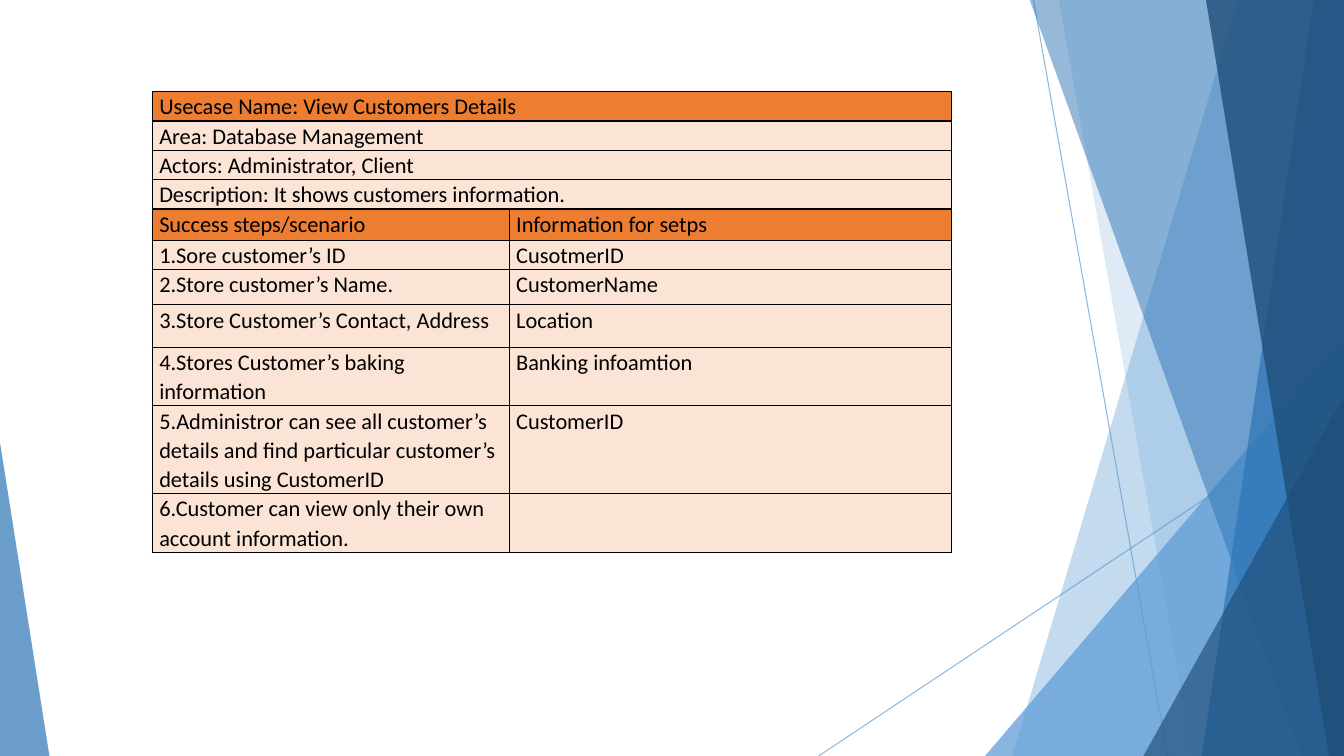
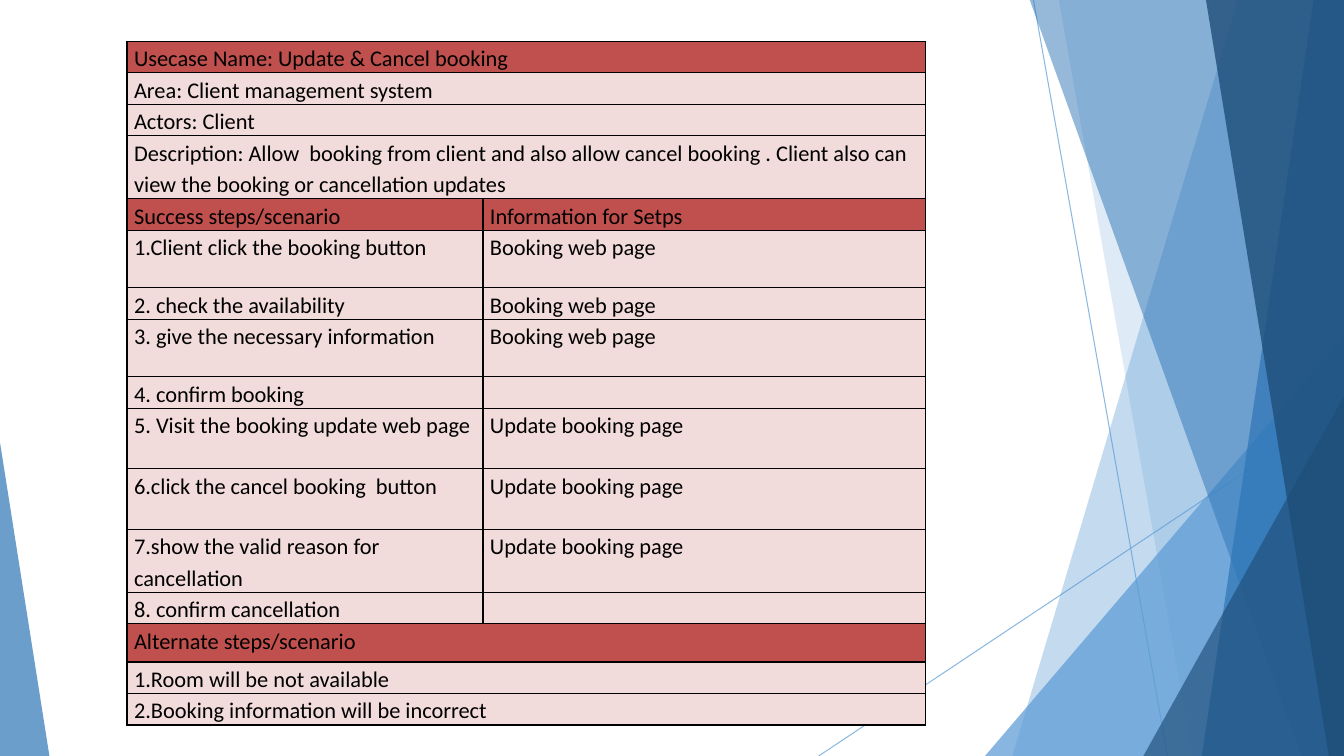
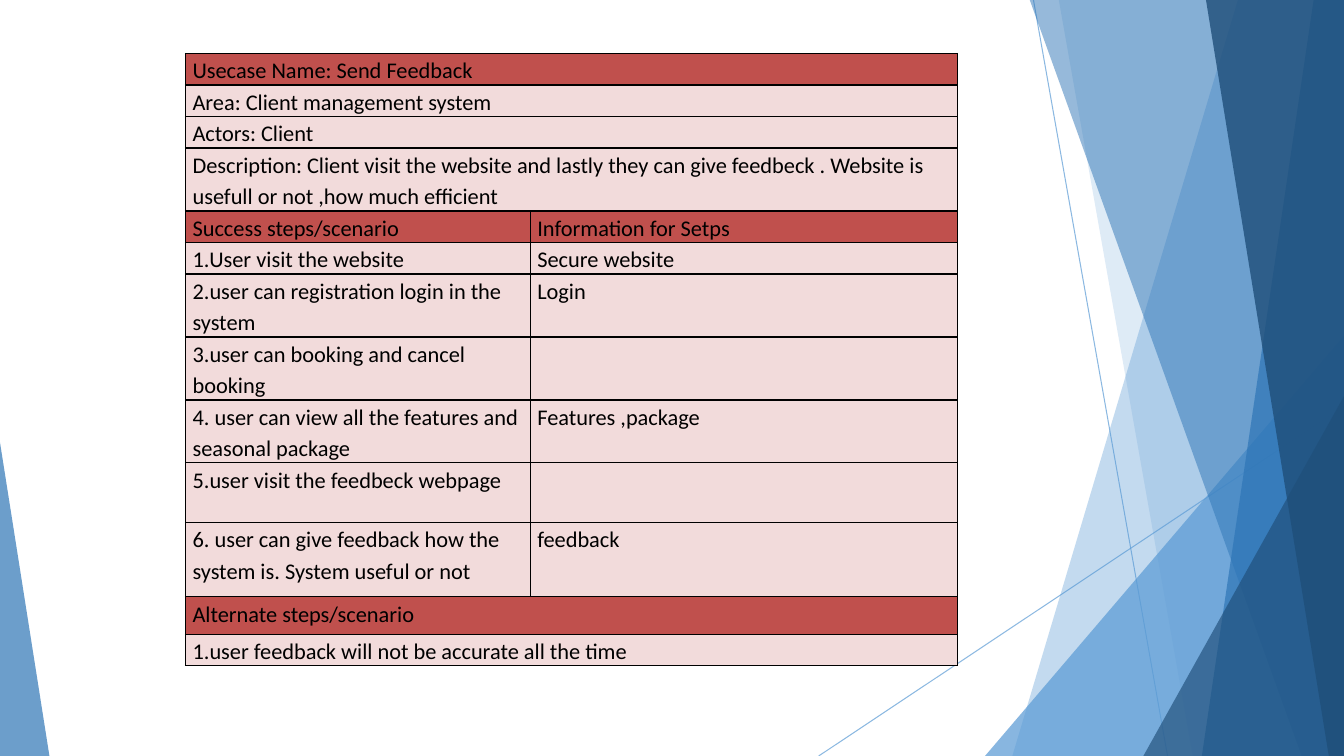
from dataclasses import dataclass

from lxml import etree
from pptx import Presentation
from pptx.dml.color import RGBColor
from pptx.enum import shapes
from pptx.oxml.ns import qn
from pptx.util import Inches, Pt


@dataclass(frozen=True)
class Theme:
    font: str = "Calibri"
    text_size: int = 16
    text: str = "000000"
    border: str = "000000"
    border_width: float = 1
    facet_line_width: float = 0.75
    light_blue: str = "5B9BD5"
    blue: str = "2E75B6"
    dark_blue: str = "1F4E79"
    orange: tuple = ("ED7D31", "FBE4D5")
    red: tuple = ("C0504D", "F2DBDB")


theme = Theme()
WIDTH, HEIGHT = 13.33, 7.5


def set_opacity(shape, percent):
    for color in shape.element.iter(qn("a:srgbClr")):
        etree.SubElement(color, qn("a:alpha"), val=str(percent * 1000))


def write(cell, content, size=theme.text_size, color=theme.text, line_spacing=1.0):
    paragraph = cell.text_frame.paragraphs[0]
    paragraph.line_spacing = line_spacing
    if not content:
        # An empty cell needs its own type size to keep the row height.
        etree.SubElement(paragraph._p, qn("a:endParaRPr"), sz=str(size * 100))
        return
    run = paragraph.add_run()
    run.text = content
    run.font.size = Pt(size)
    run.font.name = theme.font
    run.font.color.rgb = RGBColor.from_string(color)


presentation = Presentation()
presentation.slide_width = Inches(WIDTH)
presentation.slide_height = Inches(HEIGHT)
layout = presentation.slide_layouts[6]
for placeholder in list(layout.placeholders):
    layout.shapes.element.remove(placeholder.element)

# Each use case: table position, column widths, colours, line spacing, and
# rows of height and texts; a row with one text spans both columns.
HEADINGS = ("Usecase Name", "Success steps", "Alternate steps")
use_cases = [
    (1.51, 0.91, (3.54, 4.39), theme.orange, 1.07, [
        (0.29, "Usecase Name: View Customers Details"),
        (0.29, "Area: Database Management"),
        (0.29, "Actors: Administrator, Client"),
        (0.29, "Description: It shows customers information."),
        (0.31, "Success steps/scenario", "Information for setps"),
        (0.29, "1.Sore customer’s ID", "CusotmerID"),
        (0.35, "2.Store customer’s Name.", "CustomerName"),
        (0.42, "3.Store Customer’s Contact, Address", "Location"),
        (0.42, "4.Stores Customer’s baking information", "Banking infoamtion"),
        (0.87, "5.Administror can see all customer’s details and find particular "
               "customer’s details using CustomerID", "CustomerID"),
        (0.58, "6.Customer can view only their own account information.", ""),
    ]),
    (1.26, 0.41, (3.53, 4.39), theme.red, 1.15, [
        (0.3, "Usecase Name: Update & Cancel booking"),
        (0.3, "Area: Client management system"),
        (0.3, "Actors: Client"),
        (0.6, "Description: Allow  booking from client and also allow cancel booking . "
              "Client also can view the booking or cancellation updates"),
        (0.3, "Success steps/scenario", "Information for Setps"),
        (0.57, "1.Client click the booking button", "Booking web page"),
        (0.3, "2. check the availability", "Booking web page"),
        (0.57, "3. give the necessary information", "Booking web page"),
        (0.3, "4. confirm booking", ""),
        (0.6, "5. Visit the booking update web page", "Update booking page"),
        (0.6, "6.click the cancel booking  button", "Update booking page"),
        (0.6, "7.show the valid reason for cancellation", "Update booking page"),
        (0.3, "8. confirm cancellation", ""),
        (0.38, "Alternate steps/scenario"),
        (0.3, "1.Room will be not available"),
        (0.3, "2.Booking information will be incorrect"),
    ]),
    (1.84, 0.53, (3.42, 4.24), theme.red, 1.15, [
        (0.29, "Usecase Name: Send Feedback"),
        (0.29, "Area: Client management system"),
        (0.29, "Actors: Client"),
        (0.59, "Description: Client visit the website and lastly they can give feedbeck . "
               "Website is usefull or not ,how much efficient"),
        (0.29, "Success steps/scenario", "Information for Setps"),
        (0.29, "1.User visit the website", "Secure website"),
        (0.59, "2.user can registration login in the system", "Login"),
        (0.59, "3.user can booking and cancel booking", ""),
        (0.59, "4. user can view all the features and seasonal package",
         "Features ,package"),
        (0.59, "5.user visit the feedbeck webpage", ""),
        (0.74, "6. user can give feedback how the system is. System useful or not",
         "feedback"),
        (0.37, "Alternate steps/scenario"),
        (0.29, "1.user feedback will not be accurate all the time"),
    ]),
]
slides = [presentation.slides.add_slide(layout) for _ in use_cases]

# The facets are drawn once as a group, which then moves to the shared layout.
facets = slides[0].shapes.add_group_shape()
for start_x, start_y, end_x, end_y in [(10.25, 0, 11.58, HEIGHT), (WIDTH, 4.03, 8.12, HEIGHT)]:
    line = facets.shapes.add_connector(
        shapes.MSO_CONNECTOR.STRAIGHT,
        Inches(start_x), Inches(start_y), Inches(end_x), Inches(end_y))
    line.line.color.rgb = RGBColor.from_string(theme.light_blue)
    line.line.width = Pt(theme.facet_line_width)
    etree.SubElement(line.element.spPr, qn("a:effectLst"))
    set_opacity(line, 70)

# A band reaches the right edge from (top x, bottom x); a triangle has
# (left, top, width, apex) and stands on the bottom edge.
for outline, color, opacity in [
    ((12.28, 10.04), theme.light_blue, 36),
    ((10.5, 11.83), theme.light_blue, 20),
    ((9.77, 3.33, 3.56, 1), theme.light_blue, 72),
    ((10.21, 12.91), theme.blue, 50),
    ((13.03, 11.92), theme.blue, 70),
    ((11.96, 13.18), theme.dark_blue, 80),
    ((11.34, 3.93, 1.99, 1), theme.dark_blue, 66),
    ((0, 4.39, 0.49, 0), theme.blue, 70),
]:
    if len(outline) == 2:
        top_x, bottom_x = outline
        corners = [(WIDTH, -0.01), (WIDTH, HEIGHT), (bottom_x, HEIGHT)]
        builder = facets.shapes.build_freeform(Inches(top_x), Inches(-0.01))
        builder.add_line_segments([(Inches(x), Inches(y)) for x, y in corners])
        facet = builder.convert_to_shape()
    else:
        left, top, width, apex = outline
        facet = facets.shapes.add_shape(
            shapes.MSO_SHAPE.ISOSCELES_TRIANGLE,
            Inches(left), Inches(top), Inches(width), Inches(HEIGHT - top))
        facet.adjustments[0] = apex
    facet.shadow.inherit = False
    facet.line.fill.background()
    facet.fill.solid()
    facet.fill.fore_color.rgb = RGBColor.from_string(color)
    set_opacity(facet, opacity)
layout.shapes.element.append(facets.element)

for slide, (left, top, widths, colors, line_spacing, rows) in zip(slides, use_cases):
    heading_fill, body_fill = colors
    table = slide.shapes.add_table(
        len(rows), len(widths), Inches(left), Inches(top),
        Inches(sum(widths)), Inches(sum(row[0] for row in rows))).table
    table.first_row = table.horz_banding = False
    for column, width in zip(table.columns, widths):
        column.width = Inches(width)

    for index, (height, *texts) in enumerate(rows):
        table.rows[index].height = Inches(height)
        cells = list(table.rows[index].cells)
        if len(texts) == 1:
            cells[0].merge(cells[1])
        for cell, content in zip(cells, texts):
            write(cell, content, line_spacing=line_spacing)
        fill = heading_fill if texts[0].startswith(HEADINGS) else body_fill
        for cell in cells:
            cell.margin_left = cell.margin_right = Inches(0.07)
            cell.margin_top = cell.margin_bottom = 0
            properties = cell._tc.get_or_add_tcPr()
            for side in ("lnL", "lnR", "lnT", "lnB"):
                border = etree.SubElement(
                    properties, qn(f"a:{side}"), w=str(Pt(theme.border_width)))
                solid = etree.SubElement(border, qn("a:solidFill"))
                etree.SubElement(solid, qn("a:srgbClr"), val=theme.border)
            cell.fill.solid()
            cell.fill.fore_color.rgb = RGBColor.from_string(fill)

presentation.save("out.pptx")
